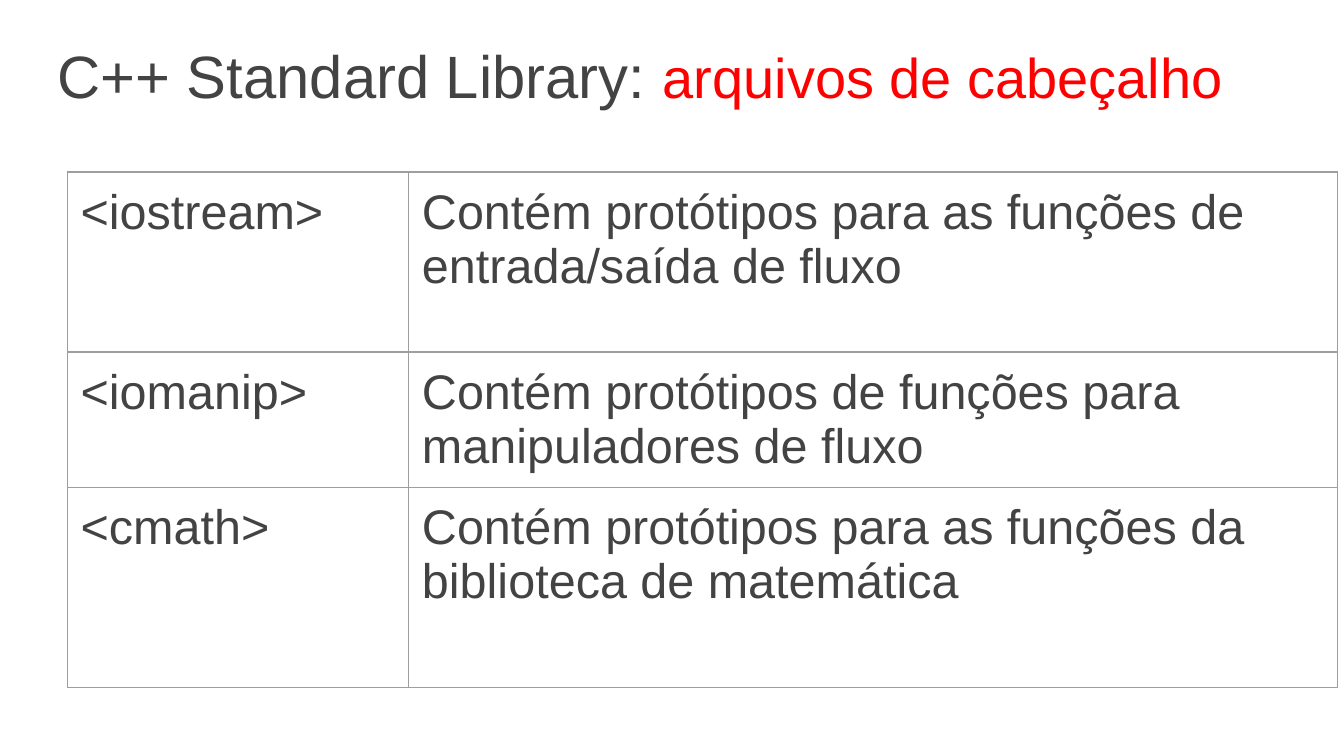
from lxml.etree import SubElement
from pptx import Presentation
from pptx.dml.color import RGBColor
from pptx.oxml.ns import qn
from pptx.util import Inches, Pt

GRAY = RGBColor(0x43, 0x43, 0x43)
RED = RGBColor(0xFF, 0x00, 0x00)
BORDER = RGBColor(0x9E, 0x9E, 0x9E)
FONT = "Arial"
MARGIN = Inches(0.1)

TITLE_PARTS = [("C++ Standard Library: ", 32, GRAY), ("arquivos de cabeçalho", 30, RED)]
HEADERS = [
    ("<iostream>", "Contém protótipos para as funções de entrada/saída de fluxo"),
    ("<iomanip>", "Contém protótipos de funções para manipuladores de fluxo"),
    ("<cmath>", "Contém protótipos para as funções da biblioteca de matemática"),
]
COLUMN_WIDTHS = [2.54, 6.91]
ROW_HEIGHTS = [1.34, 0.99, 1.49]


def add_title(page, left, top, width, height):
    box = page.shapes.add_textbox(left, top, width, height)
    frame = box.text_frame
    frame.word_wrap = True
    frame.margin_left = frame.margin_right = MARGIN
    frame.margin_top, frame.margin_bottom = MARGIN, 0
    para = frame.paragraphs[0]
    para.font.name = FONT
    for text, size, color in TITLE_PARTS:
        span = para.add_run()
        span.text = text
        span.font.size = Pt(size)
        span.font.color.rgb = color


def add_borders(cell):
    properties = cell._tc.get_or_add_tcPr()
    for side in ("a:lnL", "a:lnR", "a:lnT", "a:lnB"):
        line = SubElement(properties, qn(side), w=str(Pt(0.75)))
        fill = SubElement(line, qn("a:solidFill"))
        SubElement(fill, qn("a:srgbClr"), val=str(BORDER))


def fill_cell(cell, text):
    cell.margin_left = cell.margin_right = cell.margin_top = MARGIN
    cell.margin_bottom = Inches(0.04)
    add_borders(cell)
    cell.fill.background()
    cell.text = text
    font = cell.text_frame.paragraphs[0].font
    font.name = FONT
    font.size = Pt(26)
    font.bold = False
    font.color.rgb = GRAY


def add_header_table(page, left, top):
    width, height = Inches(sum(COLUMN_WIDTHS)), Inches(sum(ROW_HEIGHTS))
    frame = page.shapes.add_table(len(HEADERS), len(COLUMN_WIDTHS), left, top, width, height)
    table = frame.table
    table.first_row = False
    table.horz_banding = False
    for column, column_width in zip(table.columns, COLUMN_WIDTHS):
        column.width = Inches(column_width)
    for row, row_height, texts in zip(table.rows, ROW_HEIGHTS, HEADERS):
        row.height = Inches(row_height)
        for cell, text in zip(row.cells, texts):
            fill_cell(cell, text)


def main():
    deck = Presentation()
    deck.slide_width, deck.slide_height = Inches(10), Inches(5.625)
    page = deck.slides.add_slide(deck.slide_layouts[6])
    add_title(page, Inches(0.33), Inches(0.19), Inches(9.33), Inches(0.63))
    add_header_table(page, Inches(0.5), Inches(1.28))
    deck.save("out.pptx")


if __name__ == "__main__":
    main()
